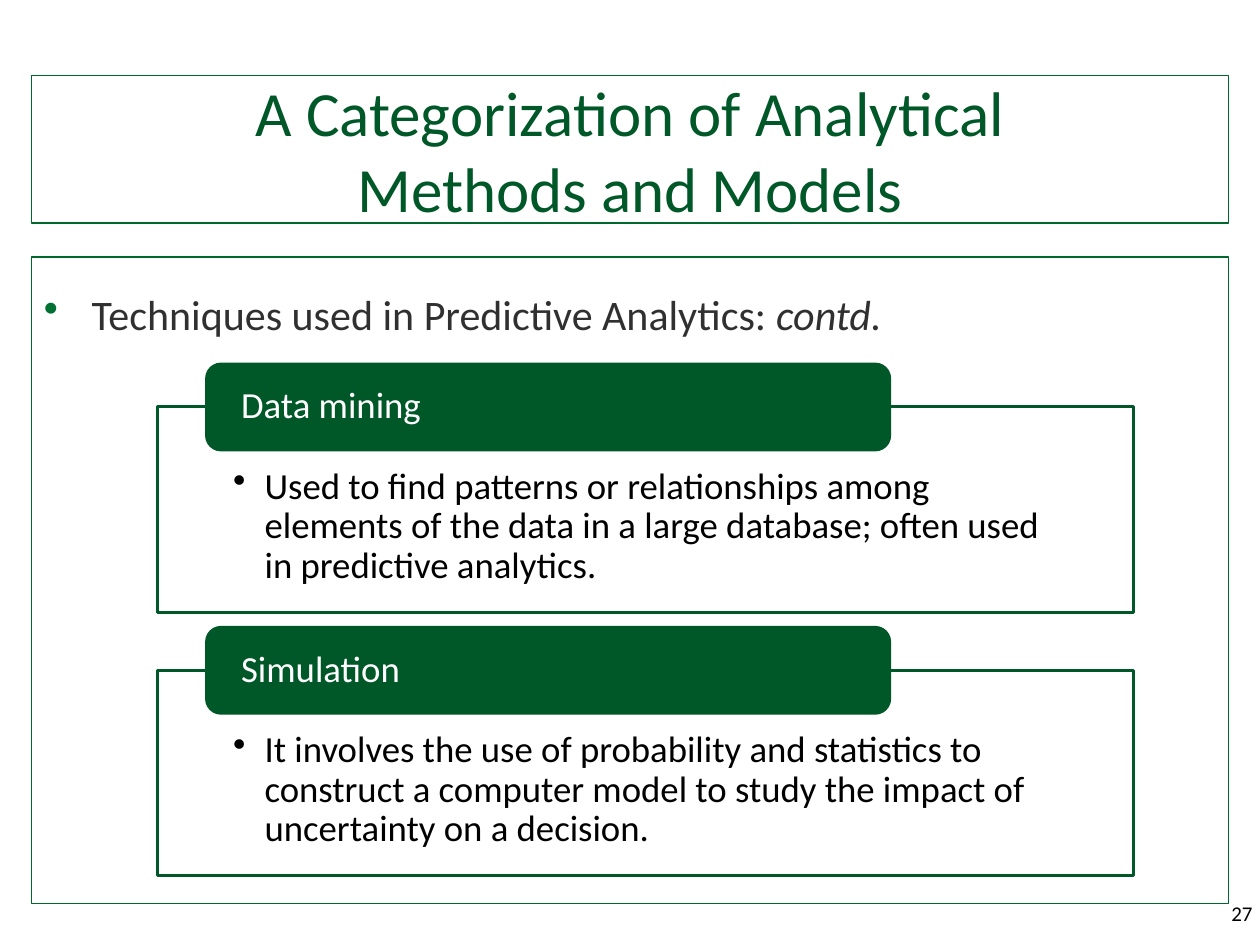
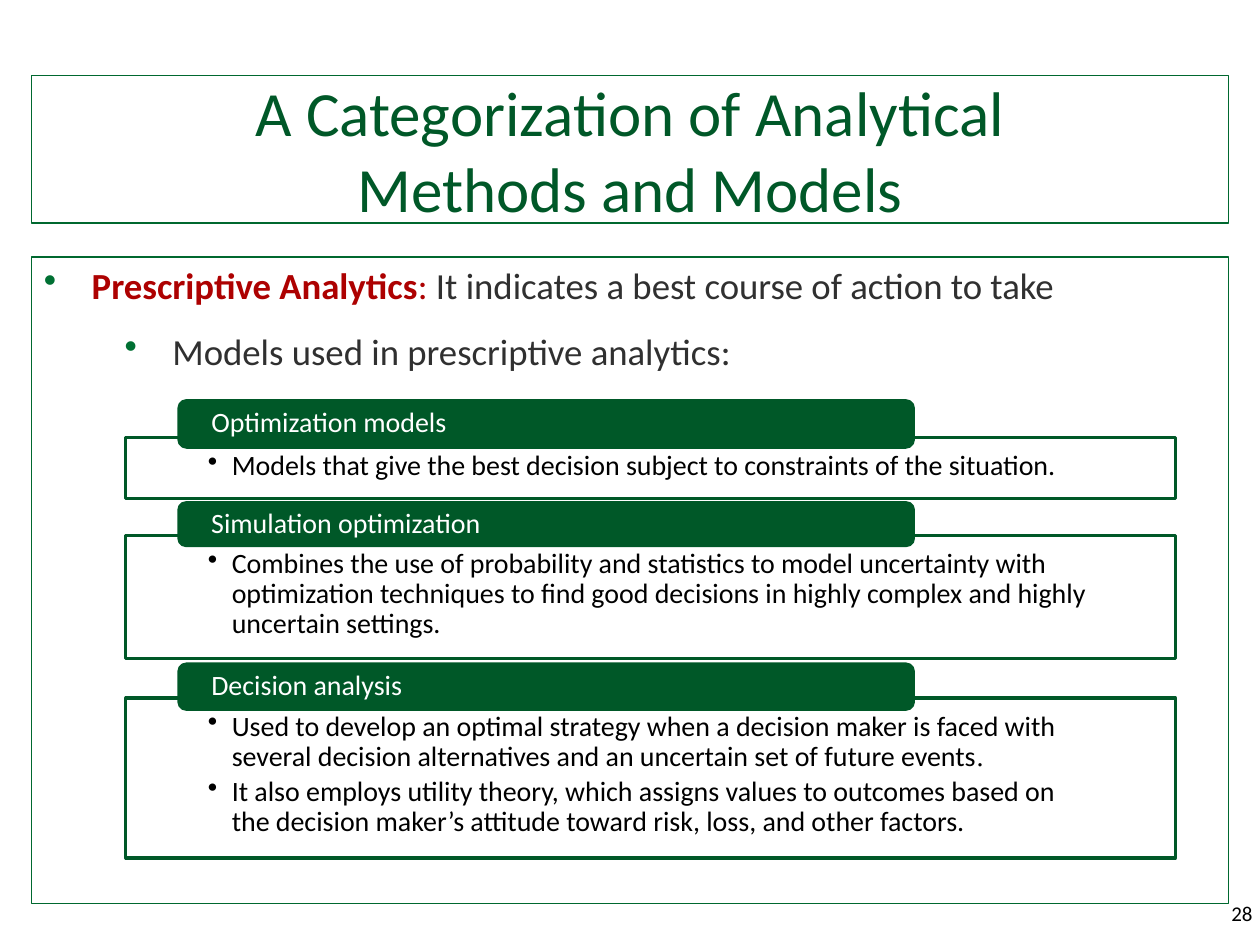
import pptx
import pptx.dml.color
import pptx.enum.shapes
import pptx.enum.text
import pptx.util
from lxml import etree
from pptx.oxml.ns import qn

Inches = pptx.util.Inches
Pt = pptx.util.Pt
RGBColor = pptx.dml.color.RGBColor
MSO_SHAPE = pptx.enum.shapes.MSO_SHAPE
PP_ALIGN = pptx.enum.text.PP_ALIGN
MSO_ANCHOR = pptx.enum.text.MSO_ANCHOR

DARK_GREEN = RGBColor(0x00, 0x58, 0x28)
FRAME_GREEN = RGBColor(0x00, 0x68, 0x2F)
BULLET_GREEN = RGBColor(0x00, 0x70, 0x33)
RED = RGBColor(0xAD, 0x01, 0x01)
GREY = RGBColor(0x30, 0x30, 0x30)
BLACK = RGBColor(0, 0, 0)
WHITE = RGBColor(255, 255, 255)

FONT = "Calibri"
TITLE_LINES = ["A Categorization of Analytical", "Methods and Models"]


def add_box(slide, kind, place, fill=None, line=None, weight=0.75,
            insets=(0.1, 0.05, 0.1, 0.05), anchor=MSO_ANCHOR.TOP):
    """Add a shape with wrapped text and return its text frame."""
    box = slide.shapes.add_shape(kind, *[Inches(length) for length in place])
    box.shadow.inherit = False
    if fill is None:
        box.fill.background()
    else:
        box.fill.solid()
        box.fill.fore_color.rgb = fill
    box.line.color.rgb = line
    box.line.width = Pt(weight)
    frame = box.text_frame
    frame.word_wrap = True
    frame.vertical_anchor = anchor
    (frame.margin_left, frame.margin_top,
     frame.margin_right, frame.margin_bottom) = [Inches(i) for i in insets]
    return frame


def add_paragraph(frame, runs, size, align=PP_ALIGN.LEFT, spacing=1.0, before=0,
                  after=0, margin=0, hanging=0, bullet_color=None):
    """Write (text, colour, font options) runs; a hanging indent brings a bullet."""
    paragraph = frame.paragraphs[0]
    if paragraph.runs:
        paragraph = frame.add_paragraph()
    paragraph.alignment = align
    paragraph.line_spacing = spacing
    paragraph.space_before = Pt(before)
    paragraph.space_after = Pt(after)
    if hanging:
        properties = paragraph._p.get_or_add_pPr()
        properties.set("marL", str(Inches(margin)))
        properties.set("indent", str(-Inches(hanging)))
        if bullet_color is not None:
            color = etree.SubElement(properties, qn("a:buClr"))
            etree.SubElement(color, qn("a:srgbClr"), val=str(bullet_color))
        etree.SubElement(properties, qn("a:buChar"), char="\u2022")
    for index, (text, color, options) in enumerate(runs):
        if text == "\n":
            paragraph.add_line_break()
            continue
        run = paragraph.add_run()
        run.text = text
        run.font.name = FONT
        run.font.size = Pt(size)
        run.font.color.rgb = color
        for option, value in options.items():
            setattr(run.font, option, value)


# Intro paragraphs: runs, left margin. Panels: label, tab top and height,
# box top and height, bullets.
slides = [
    {
        "number": "27",
        "intro_size": 24,
        "intro_spacing": 1.5,
        "intro": [
            ([("Techniques used in Predictive Analytics: ", GREY, {}),
              ("contd.", GREY, {"italic": True})], 0.38),
        ],
        "size": 21,
        "box_x": (1.25, 7.75),
        "tab_x": (1.64, 5.42),
        "box_insets": (0.6, 0.48, 0.6, 0.16),
        "hanging": 0.25,
        "panels": [
            ("Data mining", 2.89, 0.68, 3.23, 1.63,
             [[("Used to find patterns or relationships among elements of the "
                "data in a large database; often used in predictive analytics.",
                BLACK, {})]]),
            ("Simulation", 4.98, 0.68, 5.32, 1.63,
             [[("It involves the use of probability and statistics to construct "
                "a computer model to study the impact of uncertainty on a "
                "decision.", BLACK, {})]]),
        ],
    },
    {
        "number": "28",
        "intro_size": 21,
        "intro_spacing": 1.0,
        "intro": [
            ([("Prescriptive Analytics", RED, {"bold": True}),
              (": ", RED, {}),
              ("It indicates a best course of action to take", GREY, {})], 0.38),
            ([("Models used in prescriptive analytics:", GREY, {})], 1.02),
        ],
        "size": 16,
        "box_x": (1, 8.33),
        "tab_x": (1.42, 5.83),
        "box_insets": (0.65, 0.11, 0.65, 0.12),
        "hanging": 0.19,
        "panels": [
            ("Optimization models", 3.18, 0.37, 3.47, 0.49,
             [[("Models that give the best decision subject to constraints of "
                "the situation.", BLACK, {})]]),
            ("Simulation optimization", 3.99, 0.34, 4.25, 0.98,
             [[("Combines the use of probability and statistics to model "
                "uncertainty with optimization techniques to find good decisions "
                "in highly complex and highly uncertain settings.", BLACK, {})]]),
            ("Decision analysis", 5.27, 0.36, 5.54, 1.27,
             [[("Used to develop an optimal strategy when a decision maker is "
                "faced with several decision alternatives and an uncertain set "
                "of future events", BLACK, {}),
               (".", BLACK, {"name": "Times New Roman"})],
              [("It also employs utility theory, which assigns values to outcomes "
                "based on the decision maker\u2019s attitude toward risk, loss, "
                "and other factors.", BLACK, {})]]),
        ],
    },
]

deck = pptx.Presentation()
deck.slide_width = Inches(10)
deck.slide_height = Inches(7.5)

for content in slides:
    slide = deck.slides.add_slide(deck.slide_layouts[6])

    title = add_box(slide, MSO_SHAPE.RECTANGLE, (0.25, 0.6, 9.5, 1.17),
                    line=FRAME_GREEN, anchor=MSO_ANCHOR.MIDDLE)
    first_line, second_line = TITLE_LINES
    add_paragraph(title, [(first_line, DARK_GREEN, {}), ("\n", DARK_GREEN, {}),
                          (second_line, DARK_GREEN, {})], 36, PP_ALIGN.CENTER)

    body = add_box(slide, MSO_SHAPE.RECTANGLE, (0.25, 2.04, 9.5, 5.13),
                   line=FRAME_GREEN)
    for runs, margin in content["intro"]:
        add_paragraph(body, runs, content["intro_size"],
                      spacing=content["intro_spacing"], before=6, after=6,
                      margin=margin, hanging=0.38, bullet_color=BULLET_GREEN)

    page_number = slide.shapes.add_textbox(
        Inches(9.21), Inches(7.1), Inches(0.83), Inches(0.4)).text_frame
    page_number.word_wrap = True
    add_paragraph(page_number, [(content["number"], BLACK, {})], 12, PP_ALIGN.RIGHT)

    size = content["size"]
    box_left, box_width = content["box_x"]
    tab_left, tab_width = content["tab_x"]
    for label, tab_top, tab_height, box_top, box_height, bullets in content["panels"]:
        details = add_box(slide, MSO_SHAPE.RECTANGLE,
                          (box_left, box_top, box_width, box_height),
                          line=DARK_GREEN, weight=1.75,
                          insets=content["box_insets"])
        for runs in bullets:
            add_paragraph(details, runs, size, spacing=0.9, after=0.18 * size,
                          margin=content["hanging"], hanging=content["hanging"])
        tab = add_box(slide, MSO_SHAPE.ROUNDED_RECTANGLE,
                      (tab_left, tab_top, tab_width, tab_height),
                      fill=DARK_GREEN, line=DARK_GREEN, weight=1.75,
                      insets=(0.24, 0, 0.24, 0), anchor=MSO_ANCHOR.MIDDLE)
        add_paragraph(tab, [(label, WHITE, {})], size, spacing=0.9)

deck.save("out.pptx")
